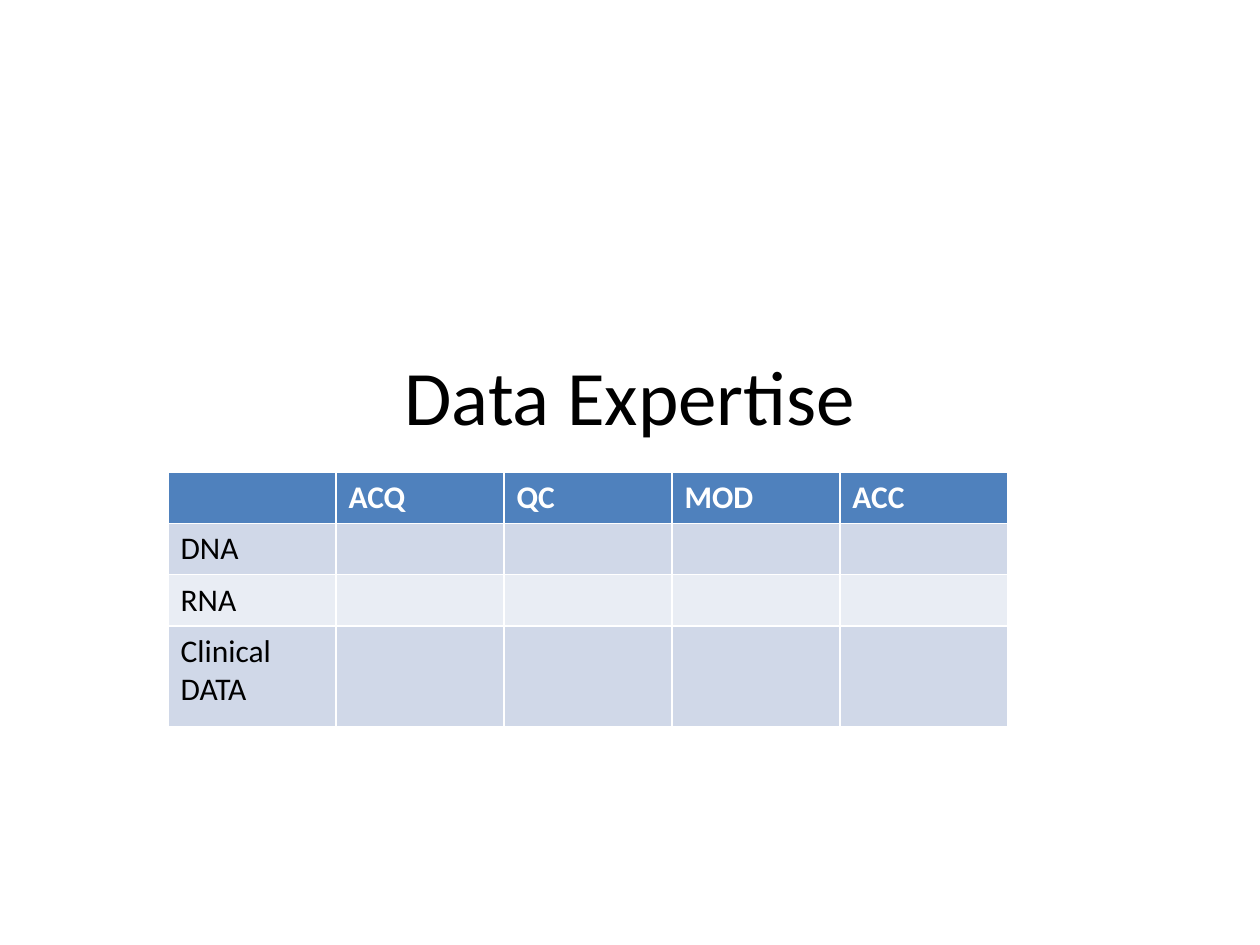
from pptx import Presentation
from pptx.dml.color import RGBColor
from pptx.enum.text import MSO_ANCHOR, PP_ALIGN
from pptx.util import Pt


def format_text(paragraph, size, color, bold=False):
    for run in paragraph.runs:
        run.font.name = "Calibri"
        run.font.size = Pt(size)
        run.font.bold = bold
        run.font.color.rgb = RGBColor.from_string(color)


presentation = Presentation()
presentation.slide_width, presentation.slide_height = Pt(720), Pt(540)
slide = presentation.slides.add_slide(presentation.slide_layouts[0])

# Title
title = slide.shapes.title
title.left, title.top, title.width, title.height = Pt(54), Pt(167.75), Pt(612), Pt(115.75)
title.text_frame.text = "Data Expertise"
title.text_frame.vertical_anchor = MSO_ANCHOR.MIDDLE
title_paragraph = title.text_frame.paragraphs[0]
title_paragraph.alignment = PP_ALIGN.CENTER
format_text(title_paragraph, 44, "000000")

# Unused subtitle
subtitle = slide.placeholders[1].element
subtitle.getparent().remove(subtitle)

# Table: the default style supplies the white borders
headings = ["", "ACQ", "QC", "MOD", "ACC"]
data_types = ["DNA", "RNA", "Clinical DATA"]
rows = [headings] + [[name, "", "", "", ""] for name in data_types]
row_fills = ["4F81BD", "D0D8E8", "E9EDF4", "D0D8E8"]
row_heights = [28.8, 28.8, 28.8, 57.6]

table = slide.shapes.add_table(
    len(rows), len(headings), Pt(96), Pt(270), Pt(480), Pt(sum(row_heights))
).table
for column in table.columns:
    column.width = Pt(96)

for row_index, texts in enumerate(rows):
    table.rows[row_index].height = Pt(row_heights[row_index])
    is_header = row_index == 0
    for column_index, text in enumerate(texts):
        cell = table.cell(row_index, column_index)
        cell.fill.solid()
        cell.fill.fore_color.rgb = RGBColor.from_string(row_fills[row_index])
        if text:
            cell.text_frame.text = text
            format_text(cell.text_frame.paragraphs[0], 18,
                        "FFFFFF" if is_header else "000000", is_header)

presentation.save("out.pptx")
